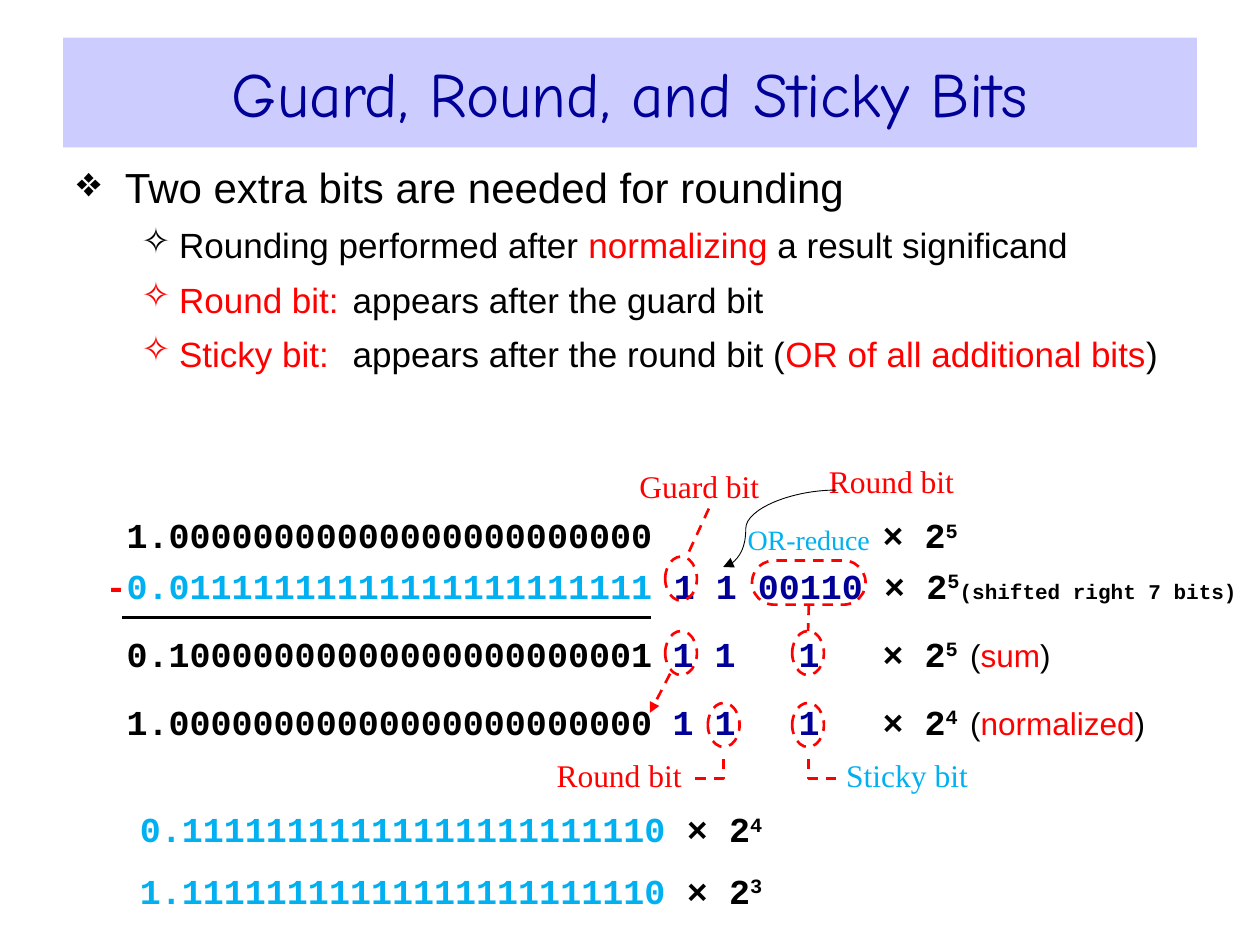
from lxml import etree
from pptx import Presentation
from pptx.dml.color import RGBColor
from pptx.enum.dml import MSO_LINE
from pptx.enum.shapes import MSO_CONNECTOR, MSO_SHAPE
from pptx.enum.text import MSO_ANCHOR, PP_ALIGN
from pptx.oxml.ns import qn
from pptx.util import Cm, Pt

STRAIGHT, CURVE = MSO_CONNECTOR.STRAIGHT, MSO_CONNECTOR.CURVE
OVAL, RECT, PILL = MSO_SHAPE.OVAL, MSO_SHAPE.RECTANGLE, MSO_SHAPE.ROUNDED_RECTANGLE
DASH, CENTER, MIDDLE = MSO_LINE.DASH, PP_ALIGN.CENTER, MSO_ANCHOR.MIDDLE
COLORS = {"black": "000000", "red": "FF0000", "navy": "000099",
          "cyan": "00B0F0", "lavender": "CCCCFF", "white": "FFFFFF"}
SANS, MONO, SERIF, HAND = "Arial", "Courier New", "Times New Roman", "Comic Neue"
CHAR = 12 * 2.54 / 72  # width in cm of one 20 pt monospaced character


def rgb(name):
    return RGBColor.from_string(COLORS[name])


def write(paragraph, runs, size=20, font=SANS, bold=False, align=None,
          line_spacing=None, before=0, bullet=None, indent=None, tabs=()):
    """Fill a paragraph with (text, colour[, run options]) runs."""
    paragraph.alignment = align
    if line_spacing:
        paragraph.line_spacing = line_spacing
    props = paragraph._p.get_or_add_pPr()
    if indent:
        props.set("marL", str(Cm(indent[0])))
        props.set("indent", str(Cm(indent[1])))
    if before:
        spacing = etree.SubElement(props, qn("a:spcBef"))
        etree.SubElement(spacing, qn("a:spcPct"), val=str(before * 1000))
    if bullet:
        etree.SubElement(props, qn("a:buChar"), char=bullet)
    if tabs:
        stops = etree.SubElement(props, qn("a:tabLst"))
        for stop in tabs:
            etree.SubElement(stops, qn("a:tab"), pos=str(Cm(stop)), algn="l")
    for text, color, *options in runs:
        look = {"size": size, "font": font, "bold": bold, "raised": False}
        look.update(*options)
        run = paragraph.add_run()
        run.text = text
        run.font.size, run.font.name = Pt(look["size"]), look["font"]
        run.font.bold = look["bold"]
        run.font.color.rgb = rgb(color)
        if look["raised"]:
            run._r.get_or_add_rPr().set("baseline", "30000")


def add_text(slide, box, paragraphs, inset=(0.25, 0.13), **look):
    """Text box; each paragraph is (runs, own options)."""
    frame = slide.shapes.add_textbox(*map(Cm, box)).text_frame
    frame.word_wrap = True
    frame.margin_left = frame.margin_right = Cm(inset[0])
    frame.margin_top = frame.margin_bottom = Cm(inset[1])
    for i, (runs, options) in enumerate(paragraphs):
        paragraph = frame.add_paragraph() if i else frame.paragraphs[0]
        write(paragraph, runs, **{**look, **options})


def dashed(shape):
    shape.line.color.rgb = rgb("red")
    shape.line.width = Pt(1.5)
    shape.line.dash_style = DASH


def add_outline(slide, kind, box):
    outline = slide.shapes.add_shape(kind, *map(Cm, box))
    outline.shadow.inherit = False
    outline.fill.background()
    dashed(outline)
    return outline


def add_line(slide, start, end, kind=STRAIGHT, color="black", width=1.5, arrow=False):
    line = slide.shapes.add_connector(kind, *map(Cm, (*start, *end)))
    line.line.color.rgb = rgb(color)
    line.line.width = Pt(width)
    if arrow:
        etree.SubElement(line.line._get_or_add_ln(), qn("a:tailEnd"), type="triangle")
    etree.SubElement(line._element.spPr, qn("a:effectLst"))
    return line


def title_bar(slide, box):
    title = slide.shapes.title
    title.left, title.top, title.width, title.height = map(Cm, box)
    title.fill.solid()
    title.fill.fore_color.rgb = rgb("lavender")
    title.text_frame.vertical_anchor = MIDDLE
    write(title.text_frame.paragraphs[0], [("Guard, Round, and Sticky Bits", "navy")],
          size=36, font=HAND, align=CENTER)


def bullet_list(slide, box):
    main = {"size": 24, "bullet": "❖", "indent": (0.97, -0.97)}
    sub = {"bullet": "✧", "indent": (2.06, -0.76)}
    add_text(slide, box, [
        ([("Two extra bits are needed for rounding", "black")], main),
        ([("Rounding performed after ", "black"), ("normalizing", "red"),
          (" a result significand", "black")], sub),
        ([("Round bit:", "red"), ("\tappears after the guard bit", "black")], sub),
        ([("Sticky bit:", "red"), ("\tappears after the round bit (", "black"),
          ("OR of all additional bits", "red"), (")", "black")], sub),
    ], before=35, tabs=(5.56,))


def power(exponent):
    return [("× 2", "black"), (exponent, "black", {"raised": True})]


def remark(word):
    plain = {"size": 18, "font": SANS, "bold": False}
    return [("(", "black", plain), (word, "red", plain), (")", "black", plain)]


def subtraction(slide, box):
    left, top = box[:2]
    number, guard, sticky, factor = (n * CHAR for n in (1, 27, 33, 37))
    columns = {"before": 50, "tabs": (number, guard, sticky, factor)}
    bits = [("\t1 1\t1\t", "navy")]
    add_text(slide, box, [
        ([("\t1.00000000000000000000000\t", "black"), *power("5")],
         {"before": 50, "tabs": (number, factor)}),
        ([("-", "red"), ("0.01111111111111111111111 ", "cyan"), ("1 1 00110 ", "navy"),
          *power("5"), ("(shifted right 7 bits)", "black", {"size": 12})], {}),
        ([("\t0.10000000000000000000001", "black"), *bits,
          *power("5 "), *remark("sum")], columns),
        ([("\t1.00000000000000000000000", "black"), *bits,
          *power("4 "), *remark("normalized")], columns),
    ], inset=(0, 0), font=MONO, bold=True, line_spacing=1.2)
    # Rule under the subtrahend
    add_line(slide, (left + 0.33, top + 2.26), (left + 11, top + 2.26))


def callouts(slide, box):
    left, top = box[:2]

    def at(x, y, *size):
        return (left + x, top + y, *size)

    def label(text, x, y, color="red", width=3.18, size=18, **more):
        add_text(slide, at(x, y, width, 1.02), [([(text, color)], {})],
                 size=size, font=SERIF, before=50, **more)

    # Circled bits and the additional bits that are reduced to one
    ovals = [add_outline(slide, OVAL, at(x, y, 0.64, 0.89)) for x, y in
             ((2.44, 2.03), (2.44, 3.53), (5, 3.53), (3.3, 4.98), (5, 4.98))]
    extra_bits = add_outline(slide, PILL, at(4.19, 2.11, 2.29, 0.89))
    extra_bits.adjustments[0] = 0.5
    reduction = add_line(slide, at(5.32, 3), at(5.32, 3.53))
    reduction.begin_connect(extra_bits, 2)
    reduction.end_connect(ovals[2], 0)
    dashed(reduction)

    # Guard bit
    guard = slide.shapes.add_shape(RECT, *map(Cm, at(1.63, 0.25, 3, 0.71)))
    guard.shadow.inherit = False
    guard.fill.solid()
    guard.fill.fore_color.rgb = rgb("white")
    guard.line.fill.background()
    frame = guard.text_frame
    frame.margin_left = frame.margin_right = frame.margin_top = frame.margin_bottom = 0
    frame.vertical_anchor = MIDDLE
    write(frame.paragraphs[0], [("Guard bit", "red")], size=18, font=SERIF,
          align=CENTER, before=50)
    dashed(add_line(slide, at(2.92, 1.93), at(3.33, 1.04)))
    dashed(add_line(slide, at(2.54, 4.39), at(2.13, 5.18), arrow=True))

    # Names of the other bits
    label("Round bit", 5.49, 0)
    label("OR-reduce", 3.94, 1.22, "cyan", 2.79, 16, inset=(0, 0.13), align=CENTER)
    label("Round bit", 0, 5.92)
    label("Sticky bit", 5.84, 5.92, "cyan")

    # Elbows from the lower names to their bits
    for outer, inner in ((3.05, 3.61), (5.89, 5.33)):
        points = [tuple(map(Cm, at(x, y)))
                  for x, y in ((outer, 6.5), (inner, 6.5), (inner, 6.05))]
        builder = slide.shapes.build_freeform(*points[0], scale=1.0)
        builder.add_line_segments(points[1:], close=False)
        elbow = builder.convert_to_shape()
        elbow.shadow.inherit = False
        elbow.fill.background()
        dashed(elbow)

    # Curve from the upper name to the round bit
    curve = add_line(slide, at(5.89, 0.69), at(3.61, 2.24), CURVE, width=0.5, arrow=True)
    guides = curve._element.spPr.find(qn("a:prstGeom")).find(qn("a:avLst"))
    etree.SubElement(guides, qn("a:gd"), name="adj1", fmla="val 80000")


def results(slide, box):
    left, top, width, height = box
    rows = (("0.11111111111111111111110 ", "4"), ("1.11111111111111111111110 ", "3"))
    for i, (digits, exponent) in enumerate(rows):
        add_text(slide, (left, top + i * 1.24, width, height),
                 [([(digits, "cyan"), *power(exponent)], {})], font=MONO, bold=True)


def main():
    deck = Presentation()
    deck.slide_width, deck.slide_height = Cm(25.4), Cm(19.05)
    slide = deck.slides.add_slide(deck.slide_layouts[5])
    title_bar(slide, (1.27, 0.76, 22.86, 2.21))
    bullet_list(slide, (1.3, 3.12, 22.86, 14.27))
    subtraction(slide, (2.13, 10.19, 23.27, 5.66))
    callouts(slide, (10.97, 9.19, 9.02, 6.94))
    results(slide, (2.57, 16.15, 14.5, 1.12))
    deck.save("out.pptx")


if __name__ == "__main__":
    main()
